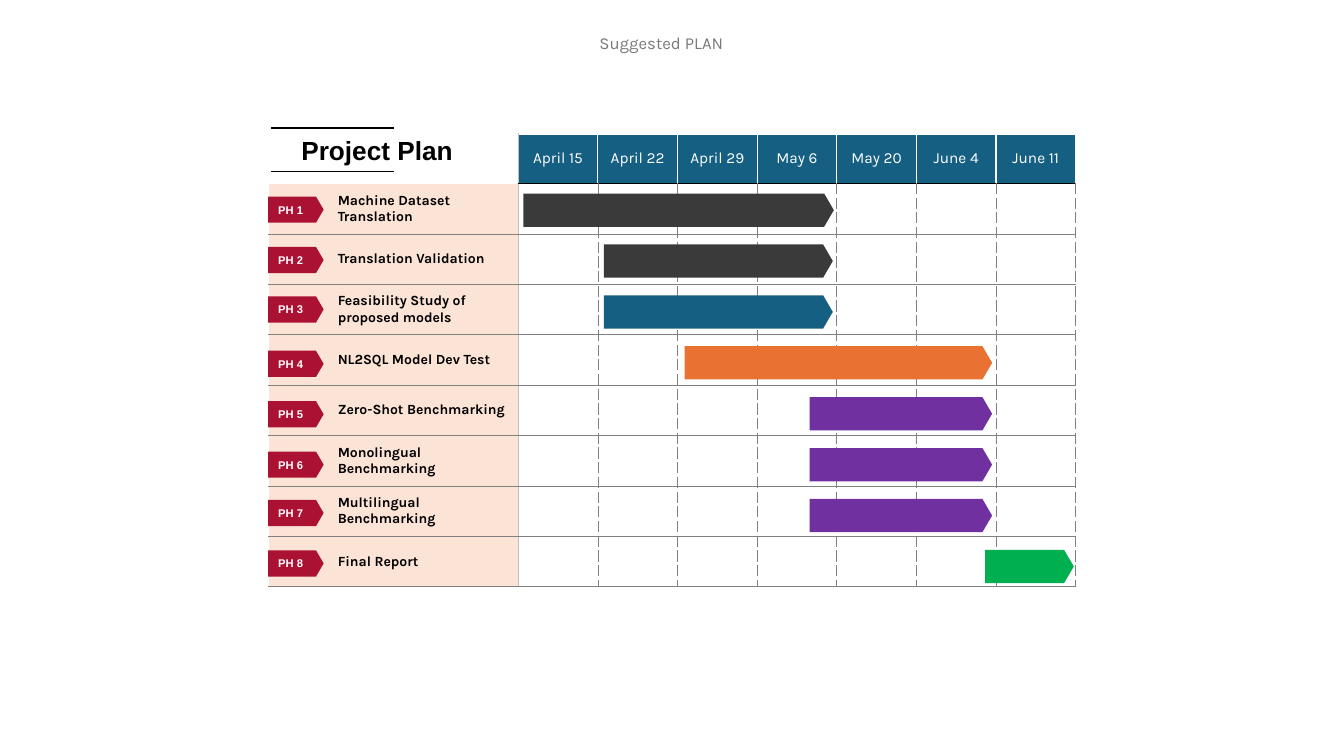
from lxml import etree
from pptx import Presentation
from pptx.dml.color import RGBColor
from pptx.enum.shapes import MSO_CONNECTOR, MSO_SHAPE
from pptx.enum.text import MSO_ANCHOR, PP_ALIGN
from pptx.oxml.ns import qn
from pptx.util import Inches, Pt

PENTAGON = MSO_SHAPE.PENTAGON
STRAIGHT = MSO_CONNECTOR.STRAIGHT
MIDDLE = MSO_ANCHOR.MIDDLE
LEFT, CENTER = PP_ALIGN.LEFT, PP_ALIGN.CENTER

BLACK = RGBColor(0x00, 0x00, 0x00)
WHITE = RGBColor(0xFF, 0xFF, 0xFF)
TITLE_GRAY = RGBColor(0x79, 0x79, 0x79)
GRID_GRAY = RGBColor(0x80, 0x80, 0x80)
LIGHT_GRAY = RGBColor(0xBF, 0xBF, 0xBF)
CHARCOAL = RGBColor(0x3A, 0x3A, 0x3A)
BLUE = RGBColor(0x15, 0x60, 0x82)
ORANGE = RGBColor(0xE9, 0x71, 0x32)
PURPLE = RGBColor(0x70, 0x30, 0xA0)
GREEN = RGBColor(0x00, 0xB0, 0x50)
CRIMSON = RGBColor(0xAA, 0x11, 0x33)
PEACH = RGBColor(0xFB, 0xE3, 0xD6)

TABLE_LEFT, TABLE_TOP = 2.66, 1.33
LABEL_WIDTH, DATE_WIDTH = 2.48, 0.79
HEADER_HEIGHT, ROW_HEIGHT = 0.49, 0.5
FIRST_BAR_TOP, BAR_STEP, BAR_HEIGHT = 1.92, 0.505, 0.33

DATES = ["April 15", "April 22", "April 29", "May 6", "May 20", "June 4", "June 11"]
# label, tag top, bar left, bar width, bar colour
PHASES = [
    ("Machine Dataset Translation", 1.95, 5.19, 3.08, CHARCOAL),
    ("Translation Validation", 2.45, 5.99, 2.27, CHARCOAL),
    ("Feasibility Study of proposed models", 2.94, 5.99, 2.27, BLUE),
    ("NL2SQL Model Dev Test", 3.48, 6.79, 3.05, ORANGE),
    ("Zero-Shot Benchmarking", 3.98, 8.03, 1.81, PURPLE),
    ("Monolingual Benchmarking", 4.48, 8.03, 1.81, PURPLE),
    ("Multilingual Benchmarking", 4.96, 8.03, 1.81, PURPLE),
    ("Final Report", 5.46, 9.77, 0.88, GREEN),
]

SOLID_GRID = (GRID_GRAY, 0.5, "solid")
DASHED_GRID = (GRID_GRAY, 0.5, "lgDash")
WHITE_EDGE = (WHITE, 1, "solid")
LABEL_EDGE = (LIGHT_GRAY, 1, "solid")
HEADER_EDGE = (BLACK, 1, "solid")


def write(frame, text, size, color, font, bold=False, align=LEFT):
    """Put one formatted paragraph into a text frame."""
    frame.text = text
    paragraph = frame.paragraphs[0]
    paragraph.alignment = align
    run_font = paragraph.runs[0].font
    run_font.size = Pt(size)
    run_font.name = font
    run_font.bold = bold
    run_font.color.rgb = color
    return paragraph


def set_margins(holder, left, top, right, bottom):
    """Set the inner margins of a cell or text frame in inches."""
    holder.margin_left, holder.margin_top = Inches(left), Inches(top)
    holder.margin_right, holder.margin_bottom = Inches(right), Inches(bottom)


def set_borders(cell, left, right, top, bottom):
    """Draw the given cell borders, skipping those that are None."""
    properties = cell._tc.get_or_add_tcPr()
    for side, border in zip("LRTB", (left, right, top, bottom)):
        if border is None:
            continue
        color, width, dash = border
        line = etree.SubElement(properties, qn(f"a:ln{side}"), w=str(Pt(width)))
        fill = etree.SubElement(line, qn("a:solidFill"))
        etree.SubElement(fill, qn("a:srgbClr"), val=str(color))
        etree.SubElement(line, qn("a:prstDash"), val=dash)


def fill_cell(cell, color):
    """Fill a cell and centre its content vertically."""
    cell.fill.solid()
    cell.fill.fore_color.rgb = color
    cell.vertical_anchor = MIDDLE


def add_title(slide):
    """Place the slide heading in the title placeholder."""
    title = slide.shapes.title
    title.left, title.top = Inches(0.56), Inches(0.19)
    title.width, title.height = Inches(12), Inches(0.46)
    title.text_frame.vertical_anchor = MIDDLE
    write(title.text_frame, "Suggested PLAN", 12, TITLE_GRAY, "Karla", align=CENTER)


def add_header_row(table):
    """Fill the row of dates."""
    set_borders(table.cell(0, 0), WHITE_EDGE, LABEL_EDGE, None, None)
    fill_cell(table.cell(0, 0), WHITE)
    for column, date in enumerate(DATES, 1):
        cell = table.cell(0, column)
        left = LABEL_EDGE if column == 1 else WHITE_EDGE
        set_borders(cell, left, WHITE_EDGE, None, HEADER_EDGE)
        fill_cell(cell, BLUE)
        write(cell.text_frame, date, 11, WHITE, "Karla", align=CENTER)


def add_phase_row(table, row, label):
    """Fill one phase label and its empty date cells."""
    label_cell = table.cell(row, 0)
    label_top = None if row == 1 else SOLID_GRID
    set_borders(label_cell, WHITE_EDGE, LABEL_EDGE, label_top, SOLID_GRID)
    fill_cell(label_cell, PEACH)
    set_margins(label_cell, 0, 0.05, 0.05, 0.05)
    paragraph = write(label_cell.text_frame, label, 10, BLACK, "Karla", bold=True)
    indent = paragraph._p.get_or_add_pPr()
    indent.set("marL", str(Inches(0.69)))
    indent.set("indent", "0")
    for column in range(1, len(DATES) + 1):
        cell = table.cell(row, column)
        left = LABEL_EDGE if column == 1 else DASHED_GRID
        top = HEADER_EDGE if row == 1 else SOLID_GRID
        set_borders(cell, left, DASHED_GRID, top, SOLID_GRID)
        cell.fill.background()


def add_schedule(slide):
    """Build the table of phases against dates."""
    width = LABEL_WIDTH + DATE_WIDTH * len(DATES)
    height = HEADER_HEIGHT + ROW_HEIGHT * len(PHASES)
    table = slide.shapes.add_table(
        len(PHASES) + 1, len(DATES) + 1,
        Inches(TABLE_LEFT), Inches(TABLE_TOP), Inches(width), Inches(height),
    ).table
    table.first_row = table.horz_banding = False
    for index, column in enumerate(table.columns):
        column.width = Inches(DATE_WIDTH if index else LABEL_WIDTH)
    for index, row in enumerate(table.rows):
        row.height = Inches(ROW_HEIGHT if index else HEADER_HEIGHT)
    add_header_row(table)
    for row, phase in enumerate(PHASES, 1):
        add_phase_row(table, row, phase[0])


def add_arrow(slide, left, top, width, height, color):
    """Add a plain pentagon arrow."""
    arrow = slide.shapes.add_shape(
        PENTAGON, Inches(left), Inches(top), Inches(width), Inches(height))
    arrow.adjustments[0] = 0.29
    arrow.shadow.inherit = False
    arrow.fill.solid()
    arrow.fill.fore_color.rgb = color
    arrow.line.fill.background()
    return arrow


def add_phase_tag(slide, number, top):
    """Add the numbered tag of a phase."""
    frame = add_arrow(slide, TABLE_LEFT, top, 0.55, 0.26, CRIMSON).text_frame
    set_margins(frame, 0.1, 0.1, 0.1, 0.1)
    frame.vertical_anchor = MIDDLE
    paragraph = write(frame, f"PH {number}", 8, WHITE, "Arial", bold=True)
    paragraph.space_after = Pt(4)


def add_plan_heading(slide):
    """Add the table heading between its two rules."""
    heading = slide.shapes.add_textbox(
        Inches(2.69), Inches(1.33), Inches(2.1), Inches(0.31))
    frame = heading.text_frame
    frame.word_wrap = True
    frame.vertical_anchor = MIDDLE
    set_margins(frame, 0, 0, 0, 0)
    write(frame, "Project Plan", 18.7, BLACK, "Arial", bold=True, align=CENTER)
    for y in (1.27, 1.7):
        rule = slide.shapes.add_connector(
            STRAIGHT, Inches(2.69), Inches(y), Inches(3.91), Inches(y))
        rule.line.color.rgb = BLACK
        rule.line.width = Pt(1)
        etree.SubElement(rule._element.spPr, qn("a:effectLst"))


def main():
    """Build the project plan slide and save it."""
    presentation = Presentation()
    presentation.slide_width, presentation.slide_height = Inches(13.33), Inches(7.5)
    slide = presentation.slides.add_slide(presentation.slide_layouts[5])
    add_title(slide)
    add_schedule(slide)
    add_plan_heading(slide)
    for index, (_, tag_top, bar_left, bar_width, color) in enumerate(PHASES):
        add_phase_tag(slide, index + 1, tag_top)
        bar_top = FIRST_BAR_TOP + BAR_STEP * index
        add_arrow(slide, bar_left, bar_top, bar_width, BAR_HEIGHT, color)
    presentation.save("out.pptx")


if __name__ == "__main__":
    main()
